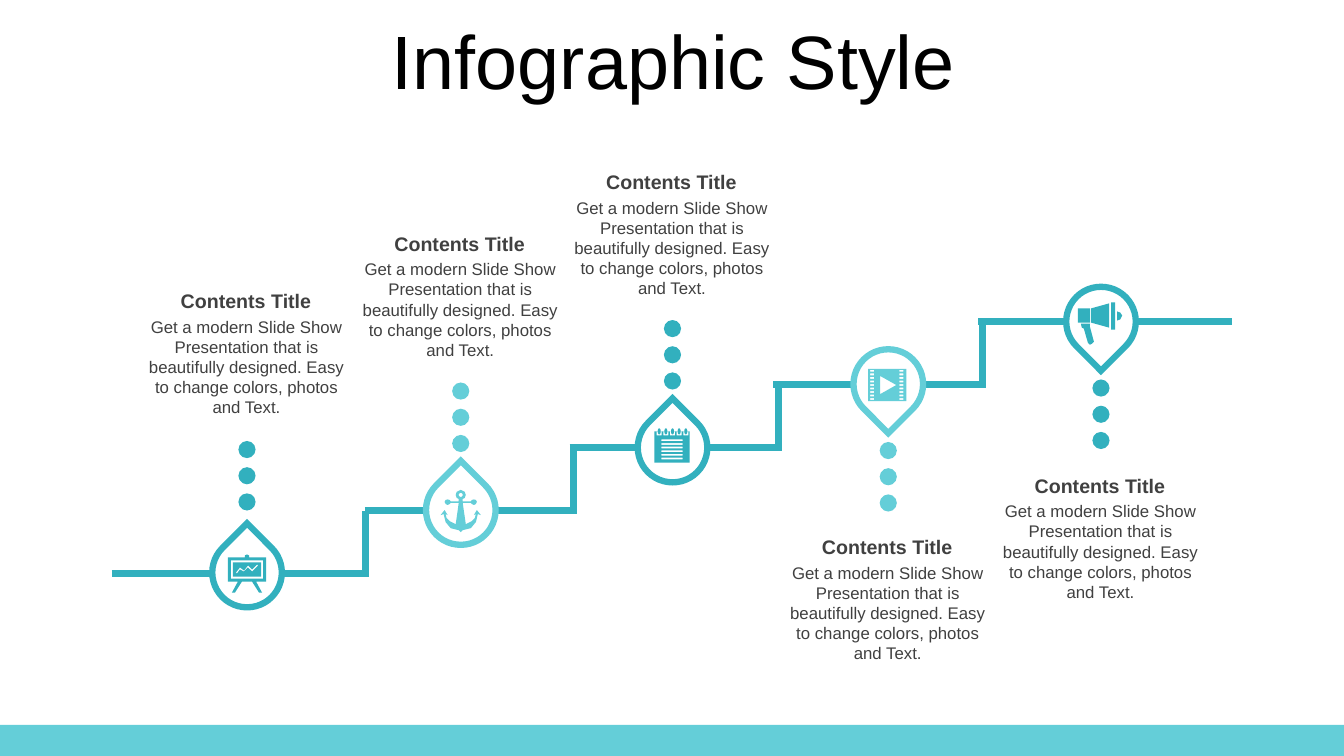
import math
from pptx import Presentation
from pptx.dml.color import RGBColor
from pptx.enum import shapes as kinds, text as txt
from pptx.oxml import parse_xml
from pptx.oxml.ns import nsdecls
from pptx.util import Inches, Pt

TEAL = RGBColor(0x32, 0xB0, 0xBE)
AQUA = RGBColor(0x64, 0xCE, 0xD8)
WHITE = RGBColor(255, 255, 255)
BLACK = RGBColor(0, 0, 0)
GREY = RGBColor(0x40, 0x40, 0x40)
FONT = "Arial"

TITLE = "Infographic Style"
HEAD = "Contents Title"
BODY = ("Get a modern Slide Show Presentation that is beautifully designed. "
        "Easy to change colors, photos and Text.")

# icon, centre x, centre y, nearest dot y, heading top, points up, colour
PINS = [
    ("board", 2.45, 5.68, 4.98, 2.82, True, TEAL),
    ("anchor", 4.57, 5.06, 4.40, 2.25, True, AQUA),
    ("pad", 6.67, 4.44, 3.78, 1.64, True, TEAL),
    ("film", 8.81, 3.81, 4.47, 5.26, False, AQUA),
    ("horn", 10.92, 3.19, 3.85, 4.65, False, TEAL),
]
# left and right end of each tread, lowest first
TREADS = [(1.11, 3.63), (3.62, 5.69), (5.65, 7.72), (7.67, 9.74), (9.7, 12.22)]
LOW, TOP = 5.69, 3.19
RISE = (LOW - TOP) / (len(TREADS) - 1)
DROP, DOT, GAP = 0.69, 0.17, 0.26


def box(x, y, w, h):
    """Return the corners of a rectangle."""
    return [(x, y), (x + w, y), (x + w, y + h), (x, y + h)]


def oval(x, y, rx, ry):
    """Return points round an ellipse."""
    turns = [math.tau * i / 24 for i in range(24)]
    return [(x + rx * math.cos(a), y + ry * math.sin(a)) for a in turns]


def mirror(half):
    """Close a right half with its reflection."""
    return half + [(-x, y) for x, y in reversed(half)]


# Outlines in hundredths of an inch from the pin centre; inner ones are holes
RINGS = [-13.2 + 6.6 * i for i in range(5)]
ICONS = {
    "board": [
        mirror([(0, -18), (2, -17), (2, -15), (19, -15), (19, 9), (9, 9),
                (15, 20), (12, 20), (5, 9)]),
        box(-16, -12, 32, 18), box(-14, -10, 28, 14),
        [(10, -8), (5, -3), (1, -7), (-3, -2), (-7, -5), (-11, 0), (-10, 1),
         (-7, -3), (-3, -1), (1, -5), (5, -1), (11, -7)]],
    "anchor": [
        mirror([(0, -20), (4, -18), (5, -15), (4, -12), (2, -11), (2, -8.5),
                (10, -8.5), (11, -10), (13, -10.5), (15, -10), (16, -8),
                (15, -6), (13, -5), (11, -6), (10, -7), (2, -7), (5, 14),
                (11, 11), (14, 8), (15, 4), (13, 5), (16, 0), (20, 5),
                (17, 4), (15, 12), (10, 18), (2, 20), (0, 22)]),
        oval(0, -15, 2, 2)],
    "pad": [box(-18, -16, 35, 31)]
           + [box(x - 2.5, -16, 5, 4) for x in RINGS]
           + [oval(x, -16, 1.5, 3) for x in RINGS]
           + [box(-11, -8 + 3.6 * i, 21, 1.7) for i in range(6)],
    "film": [box(-20, -15, 38, 32), [(-8, -8), (-8, 10), (8, 1)]]
            + [box(x, -14 + 3.5 * i, 4, 1.8) for x in (-18, 11)
               for i in range(9)],
    "horn": [
        [(-11, 2), (-11, 5), (-7, 20), (-9, 22), (-11, 23), (-13, 21),
         (-17, 7), (-19, 6), (-20, 2)],
        [(16, -10), (19, -9), (21, -6), (19, -2), (16, -1)],
        box(-23, -13, 12, 14), [(8, -18), (8, 6), (-10, 1), (-10, -13)],
        box(10, -19, 4, 27)],
}

deck = Presentation()
deck.slide_width, deck.slide_height = Inches(13.33), Inches(7.5)
page = deck.slides.add_slide(deck.slide_layouts[5])
parts = page.shapes


def paint(shape, fill=None, line=None, width=0):
    """Set fill and line, with sharp corners and no shadow."""
    shape.shadow.inherit = False
    if fill is None:
        shape.fill.background()
    else:
        shape.fill.solid()
        shape.fill.fore_color.rgb = fill
    if line is None:
        shape.line.fill.background()
    else:
        shape.line.color.rgb = line
        shape.line.width = Pt(width)
        shape.line._get_or_add_ln().append(
            parse_xml(f'<a:miter {nsdecls("a")} lim="800000"/>'))
    return shape


def preset(kind, x, y, w, h, **look):
    """Add a painted preset shape."""
    return paint(parts.add_shape(kind, *map(Inches, (x, y, w, h))), **look)


def trace(paths, close=True, **look):
    """Add one freeform made of several outlines, in inches."""
    paths = [[(Inches(x), Inches(y)) for x, y in pts] for pts in paths]
    pen = parts.build_freeform(*paths[0][0], scale=1.0)
    for i, pts in enumerate(paths):
        if i:
            pen.move_to(*pts[0])
        pen.add_line_segments(pts[1:], close=close)
    return paint(pen.convert_to_shape(), **look)


def write(words, x, y, w, h, size, color=GREY, bold=False, side=0.1,
          anchor=txt.MSO_ANCHOR.TOP, shape=None):
    """Put centred text in a new box or in the given placeholder."""
    spot = [Inches(v) for v in (x, y, w, h)]
    shape = shape or parts.add_textbox(*spot)
    shape.left, shape.top, shape.width, shape.height = spot
    frame = shape.text_frame
    frame.word_wrap = True
    frame.auto_size = txt.MSO_AUTO_SIZE.NONE
    frame.vertical_anchor = anchor
    frame.margin_left = frame.margin_right = Inches(side)
    para = frame.paragraphs[0]
    para.alignment = txt.PP_ALIGN.CENTER
    run = para.add_run()
    run.text = words
    run.font.name, run.font.size = FONT, Pt(size)
    run.font.bold, run.font.color.rgb = bold, color
    return para


def stairs():
    """Draw each tread with its riser; the top tread is a plain line."""
    for i, (left, right) in enumerate(TREADS):
        y = LOW - RISE * i
        if i < len(TREADS) - 1:
            trace([[(left, y), (right, y), (right, y - RISE)]], close=False,
                  line=TEAL, width=5)
        else:
            line = parts.add_connector(kinds.MSO_CONNECTOR.STRAIGHT,
                                       *map(Inches, (left, y, right, y)))
            line.line.color.rgb, line.line.width = TEAL, Pt(5)
            line._element.spPr.append(
                parse_xml(f'<a:effectLst {nsdecls("a")}/>'))


def pin(icon, x, y, dot, top, up, color):
    """Draw a drop with its icon, dots and text."""
    drop = preset(kinds.MSO_SHAPE.TEAR, x - DROP / 2, y - DROP / 2, DROP, DROP,
                  fill=WHITE, line=color, width=4.5)
    drop.rotation = 315 if up else 135
    step = -GAP if up else GAP
    for i in range(3):
        preset(kinds.MSO_SHAPE.OVAL, x - DOT / 2, dot + step * i - DOT / 2,
               DOT, DOT, fill=color)
    write(BODY, x - 1.1, top + 0.27, 2.19, 1.11, 12)
    write(HEAD, x - 1.11, top, 2.2, 0.34, 14, bold=True, side=0.12)
    trace([[(x + a / 100, y + b / 100) for a, b in pts]
           for pts in ICONS[icon]], fill=color)


preset(kinds.MSO_SHAPE.RECTANGLE, 0, 7.19, 13.33, 0.31, fill=AQUA)
title = write(TITLE, 0.35, 0.25, 12.66, 0.79, 54, color=BLACK,
              anchor=txt.MSO_ANCHOR.MIDDLE, shape=parts.title)
title.line_spacing = 0.9
stairs()
for item in PINS:
    pin(*item)
deck.save("out.pptx")
